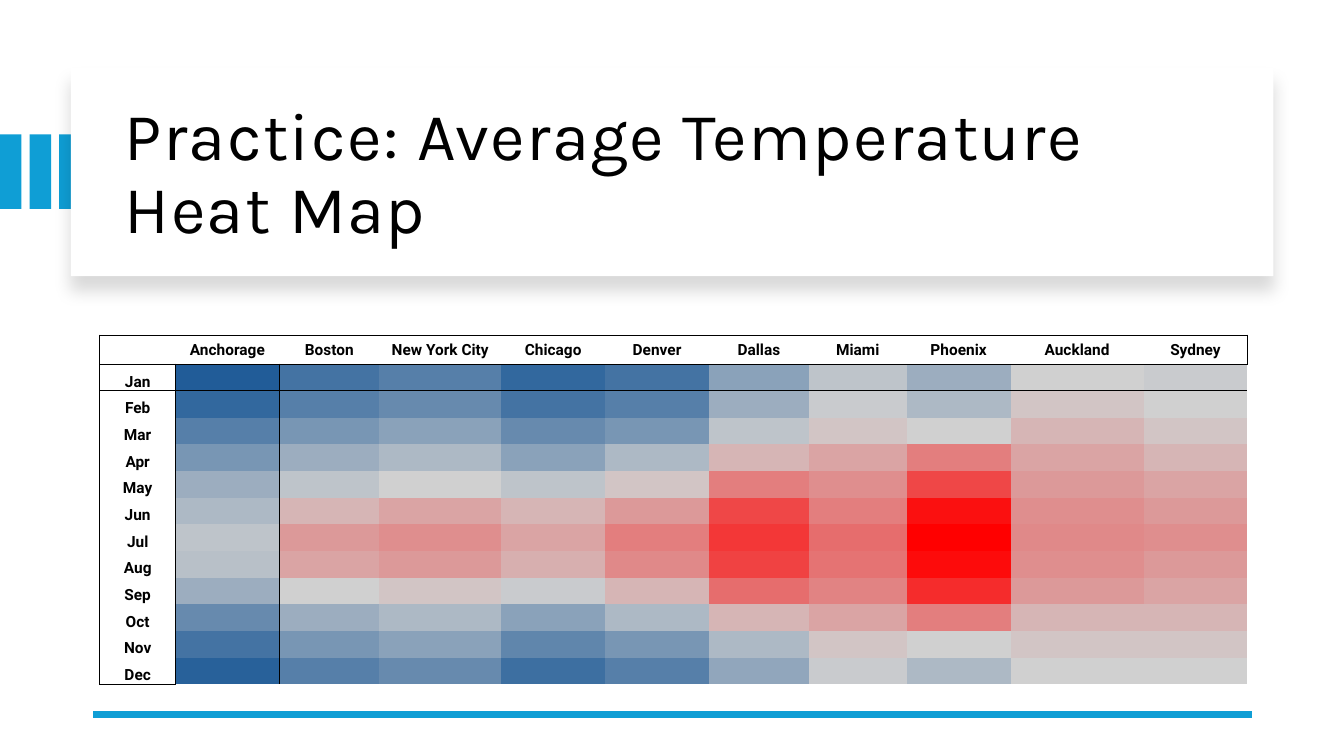
from dataclasses import dataclass

from lxml.etree import SubElement
from pptx import Presentation
from pptx.dml.color import RGBColor as Color
from pptx.enum.shapes import MSO_CONNECTOR as Connector, MSO_SHAPE as Preset
from pptx.enum.text import MSO_ANCHOR as Anchor, PP_ALIGN as Align
from pptx.oxml.ns import qn
from pptx.util import Emu, Inches, Pt

SLIDE_WIDTH, SLIDE_HEIGHT = Inches(13.33), Inches(7.5)
PLAIN_TABLE_STYLE = "{2D5ABB26-0587-4C30-8999-92F81FD0307C}"


@dataclass(frozen=True)
class Theme:
    accent: str = "0F9ED5"
    paper: str = "FFFFFF"
    ink: str = "000000"
    cold: str = "215C98"
    mild: str = "D0D0D0"
    hot: str = "FF0000"
    title_font: str = "Karla"
    table_font: str = "Roboto"
    title_size: int = 48
    table_size: int = 11
    rule_width: float = 4.5
    border_width: float = 1


@dataclass(frozen=True)
class Area:
    """A rectangle in percent of the slide's width and height."""
    left: float
    top: float
    width: float
    height: float

    def place(self) -> tuple:
        return across(self.left), down(self.top), across(self.width), down(self.height)


@dataclass(frozen=True)
class City:
    name: str
    width: float


@dataclass(frozen=True)
class Month:
    name: str
    offsets: tuple  # degrees above or below the mild midpoint, one per city


THEME = Theme()
COLDEST, HOTTEST = -50, 38
PANEL = Area(5.28, 8.93, 89.47, 27.6)
TITLE = Area(8.55, 11.87, 83.5, 22.67)
STRIPES = [Area(2.2 * step, 17.78, 1.6, 9.87) for step in range(3)]
TABLE_LEFT, TABLE_TOP = 7.43, 44.33
LABEL_WIDTH, HEADER_HEIGHT, MONTH_HEIGHT = 5.63, 3.85, 3.53

CITIES = [
    City("Anchorage", 7.73), City("Boston", 7.43), City("New York City", 9.08),
    City("Chicago", 7.73), City("Denver", 7.73), City("Dallas", 7.43),
    City("Miami", 7.28), City("Phoenix", 7.73), City("Auckland", 9.9),
    City("Sydney", 7.73),
]
MONTHS = [
    Month("Jan", (-50, -40, -35, -45, -40, -20, -5, -15, 0, -2)),
    Month("Feb", (-45, -35, -30, -40, -35, -15, -2, -10, 2, 0)),
    Month("Mar", (-35, -25, -20, -30, -25, -5, 2, 0, 5, 2)),
    Month("Apr", (-25, -15, -10, -20, -10, 5, 8, 15, 8, 5)),
    Month("May", (-15, -5, 0, -5, 2, 15, 12, 25, 10, 8)),
    Month("Jun", (-10, 5, 8, 5, 10, 25, 15, 35, 12, 10)),
    Month("Jul", (-5, 10, 12, 8, 15, 28, 18, 38, 13, 12)),
    Month("Aug", (-7, 8, 10, 6, 13, 26, 17, 36, 12, 10)),
    Month("Sep", (-15, 0, 2, -2, 5, 18, 14, 30, 10, 8)),
    Month("Oct", (-30, -15, -10, -20, -10, 5, 8, 15, 5, 5)),
    Month("Nov", (-40, -25, -20, -32, -25, -10, 2, 0, 2, 2)),
    Month("Dec", (-48, -35, -30, -42, -35, -18, -2, -10, 0, 0)),
]


def across(percent: float) -> Emu:
    return Emu(round(SLIDE_WIDTH * percent / 100))


def down(percent: float) -> Emu:
    return Emu(round(SLIDE_HEIGHT * percent / 100))


def heat_color(offset: int) -> Color:
    """Blend from mild towards the cold or the hot end of the scale."""
    end, limit = (THEME.cold, COLDEST) if offset < 0 else (THEME.hot, HOTTEST)
    pairs = zip(Color.from_string(THEME.mild), Color.from_string(end))
    return Color(*(round(a + (b - a) * offset / limit) for a, b in pairs))


def add_span(para, text: str, font: str, size: float, bold: bool = False):
    span = para.add_run()
    span.text = text
    span.font.name, span.font.size, span.font.bold = font, Pt(size), bold
    span.font.color.rgb = Color.from_string(THEME.ink)
    return span


def add_box(shapes, area: Area, fill: str):
    box = shapes.add_shape(Preset.RECTANGLE, *area.place())
    box.shadow.inherit = False
    box.fill.solid()
    box.fill.fore_color.rgb = Color.from_string(fill)
    box.line.fill.background()
    return box


def add_soft_shadow(box) -> None:
    effects = box._element.spPr.find(qn("a:effectLst"))
    shadow = SubElement(effects, qn("a:outerShdw"), blurRad=str(Pt(11)),
                        dist=str(Pt(10)), dir=str(90 * 60000), rotWithShape="0")
    tint = SubElement(shadow, qn("a:srgbClr"), val=THEME.ink)
    SubElement(tint, qn("a:alpha"), val="15000")


def add_title(page, text: str) -> None:
    frame = page.shapes.add_textbox(*TITLE.place()).text_frame
    frame.word_wrap = True
    frame.vertical_anchor = Anchor.MIDDLE
    para = frame.paragraphs[0]
    para.line_spacing = 0.9
    span = add_span(para, text, THEME.title_font, THEME.title_size)
    span.font._element.set("spc", "100")


def add_rule(page) -> None:
    rule = page.shapes.add_connector(
        Connector.STRAIGHT, across(93.15), down(94.53), across(6.9), down(94.53))
    rule.line.color.rgb = Color.from_string(THEME.accent)
    rule.line.width = Pt(THEME.rule_width)
    SubElement(rule._element.spPr, qn("a:effectLst"))


def border_sides(row: int, column: int) -> str:
    """Name the drawn sides in schema order: left, right, top, bottom."""
    header, label = row == 0, column == 0
    rules = {
        "L": label or (not header and column == 1),
        "R": (label and not header) or (header and column == len(CITIES)),
        "T": row <= 1,
        "B": header or (label and row == len(MONTHS)),
    }
    return "".join(side for side, drawn in rules.items() if drawn)


def style_cell(cell, row: int, column: int) -> None:
    cell.margin_left = cell.margin_right = cell.margin_top = Inches(0.01)
    cell.margin_bottom = 0
    cell.vertical_anchor = Anchor.BOTTOM if row else Anchor.MIDDLE
    for side in border_sides(row, column):
        line = SubElement(cell._tc.get_or_add_tcPr(), qn(f"a:ln{side}"),
                          w=str(Pt(THEME.border_width)))
        SubElement(SubElement(line, qn("a:solidFill")), qn("a:srgbClr"), val=THEME.ink)


def fill_cell(cell, row: int, column: int) -> None:
    para = cell.text_frame.paragraphs[0]
    para.alignment = Align.CENTER
    if row and column:
        cell.fill.solid()
        cell.fill.fore_color.rgb = heat_color(MONTHS[row - 1].offsets[column - 1])
    else:
        cell.fill.background()
    if bool(row) != bool(column):
        name = MONTHS[row - 1].name if row else CITIES[column - 1].name
        add_span(para, name, THEME.table_font, THEME.table_size, bold=True)
    else:
        # Small type keeps empty cells from stretching their row
        SubElement(para._p, qn("a:endParaRPr"), sz=str(THEME.table_size * 100))


def add_heat_map(page) -> None:
    widths = [LABEL_WIDTH] + [city.width for city in CITIES]
    heights = [HEADER_HEIGHT] + [MONTH_HEIGHT] * len(MONTHS)
    area = Area(TABLE_LEFT, TABLE_TOP, sum(widths), sum(heights))
    table = page.shapes.add_table(len(heights), len(widths), *area.place()).table
    table.first_row = table.horz_banding = False
    table._tbl.tblPr.find(qn("a:tableStyleId")).text = PLAIN_TABLE_STYLE
    for column, width in enumerate(widths):
        table.columns[column].width = across(width)
    for row, height in enumerate(heights):
        table.rows[row].height = down(height)
        for column in range(len(widths)):
            style_cell(table.cell(row, column), row, column)
            fill_cell(table.cell(row, column), row, column)


def main() -> None:
    deck = Presentation()
    deck.slide_width, deck.slide_height = SLIDE_WIDTH, SLIDE_HEIGHT
    page = deck.slides.add_slide(deck.slide_layouts[6])
    # Title band
    stripes = page.shapes.add_group_shape()
    for stripe in STRIPES:
        add_box(stripes.shapes, stripe, THEME.accent)
    add_soft_shadow(add_box(page.shapes, PANEL, THEME.paper))
    add_title(page, "Practice: Average Temperature Heat Map")
    # Heat map and closing rule
    add_rule(page)
    add_heat_map(page)
    deck.save("out.pptx")


if __name__ == "__main__":
    main()
